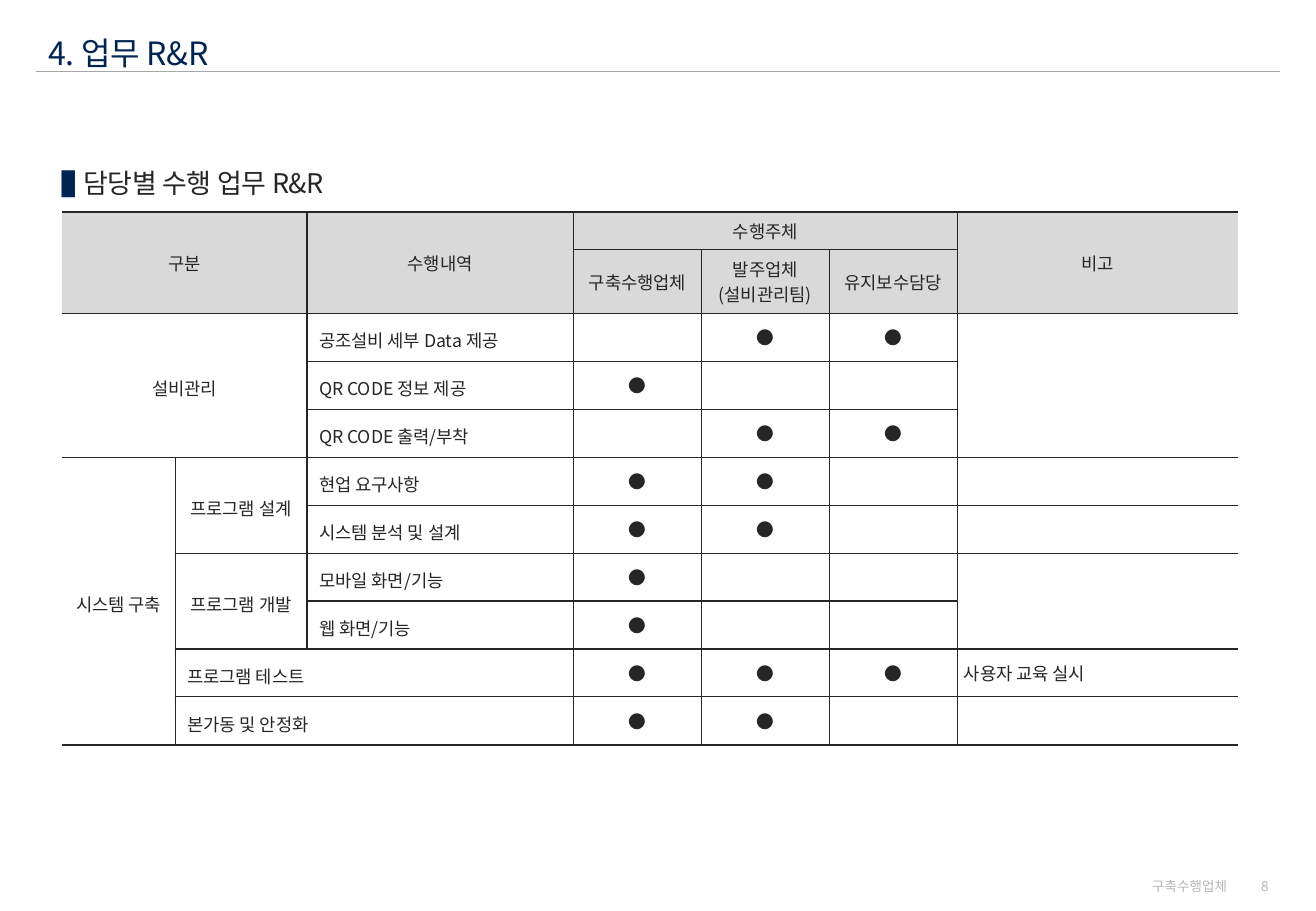
from pptx import Presentation
from pptx.dml.color import RGBColor
from pptx.enum import shapes, text
from pptx.oxml import xmlchemy
from pptx.util import Pt

# Content
TITLE = "4. 업무 R&R"
HEADING = "담당별 수행 업무 R&R"
COMPANY = "구축수행업체"
PAGE_NUMBER = "8"
DOT = "●"

# Cells: row, column, row span, column span, text
HEADER_CELLS = [
    (0, 0, 2, 2, "구분"),
    (0, 2, 2, 1, "수행내역"),
    (0, 3, 1, 3, "수행주체"),
    (0, 6, 2, 1, "비고"),
    (1, 3, 1, 1, COMPANY),
    (1, 4, 1, 1, "발주업체\n(설비관리팀)"),
    (1, 5, 1, 1, "유지보수담당"),
]
GROUP_CELLS = [
    (2, 0, 3, 2, "설비관리"),
    (5, 0, 6, 1, "시스템 구축"),
    (5, 1, 2, 1, "프로그램 설계"),
    (7, 1, 2, 1, "프로그램 개발"),
]
TASK_CELLS = [
    (2, 2, 1, 1, "공조설비 세부 Data 제공"),
    (3, 2, 1, 1, "QR CODE 정보 제공"),
    (4, 2, 1, 1, "QR CODE 출력/부착"),
    (5, 2, 1, 1, "현업 요구사항"),
    (6, 2, 1, 1, "시스템 분석 및 설계"),
    (7, 2, 1, 1, "모바일 화면/기능"),
    (8, 2, 1, 1, "웹 화면/기능"),
    (9, 1, 1, 2, "프로그램 테스트"),
    (10, 1, 1, 2, "본가동 및 안정화"),
]
REMARK_CELLS = [
    (2, 6, 3, 1, ""),
    (5, 6, 1, 1, ""),
    (6, 6, 1, 1, ""),
    (7, 6, 2, 1, ""),
    (9, 6, 1, 1, "사용자 교육 실시"),
    (10, 6, 1, 1, ""),
]
# Who does each task: one string a row, one character an actor column
DUTIES = ["011", "100", "011", "110", "110", "100", "100", "111", "110"]

# Style
FONT = "Noto Sans CJK KR"
NAVY = RGBColor(0x00, 0x24, 0x52)
INK = RGBColor(0x26, 0x26, 0x26)
RULE_GRAY = RGBColor(0xA6, 0xA6, 0xA6)
FOOTER_GRAY = RGBColor(0xB6, 0xB6, 0xB6)
HEADER_FILL = RGBColor(0xD9, 0xD9, 0xD9)
WHITE = RGBColor(0xFF, 0xFF, 0xFF)
TABLE_SIZE = 10.5
THIN, THICK = 0.75, 1.5
CENTER, LEFT, RIGHT = text.PP_ALIGN.CENTER, text.PP_ALIGN.LEFT, text.PP_ALIGN.RIGHT
MIDDLE, TOP = text.MSO_ANCHOR.MIDDLE, text.MSO_ANCHOR.TOP

# Table geometry
TABLE_LEFT, TABLE_TOP = 36.8, 125.8
COLUMN_WIDTHS = [67, 78.2, 158, 75.8, 75.8, 75.8, 166.6]
ROW_HEIGHTS = [22.3, 37.6] + [28.45] * len(DUTIES)
ROWS, COLUMNS = len(ROW_HEIGHTS), len(COLUMN_WIDTHS)


def add_element(parent, tag, **attributes):
    element = xmlchemy.OxmlElement(tag)
    for name, value in attributes.items():
        element.set(name, str(value))
    parent.append(element)
    return element


def add_run(paragraph, words, size, color, spacing=None):
    run = paragraph.add_run()
    run.text = words
    run.font.size, run.font.name = Pt(size), FONT
    run.font.color.rgb = color
    properties = run.font._element
    add_element(properties, "a:ea", typeface=FONT)
    if spacing is not None:
        properties.set("spc", str(round(spacing * 100)))


def add_text(slide, box, words, size, color, align=LEFT, anchor=MIDDLE,
             line_spacing=None, spacing=None, bullet=None):
    frame = slide.shapes.add_textbox(*map(Pt, box)).text_frame
    frame.word_wrap = True
    frame.vertical_anchor = anchor
    paragraph = frame.paragraphs[0]
    if bullet:
        properties = paragraph._p.get_or_add_pPr()
        properties.set("marL", str(Pt(20.9)))
        properties.set("indent", str(-Pt(20.9)))
        bullet_color = add_element(properties, "a:buClr")
        add_element(bullet_color, "a:srgbClr", val=NAVY)
        add_element(properties, "a:buFont", typeface=FONT)
        add_element(properties, "a:buChar", char=bullet)
    paragraph.alignment = align
    if line_spacing:
        paragraph.line_spacing = line_spacing
    add_run(paragraph, words, size, color, spacing)


def set_border(cell, index, width):
    """Index follows the order left, right, top, bottom; width 0 hides the side."""
    properties = cell._tc.get_or_add_tcPr()
    line = add_element(properties, "a:ln" + "LRTB"[index], w=Pt(width))
    if width:
        add_element(add_element(line, "a:solidFill"), "a:srgbClr", val=INK)
    else:
        add_element(line, "a:noFill")


def draw_borders(table, row, column, row_span, column_span):
    last_row, last_column = row + row_span, column + column_span
    outline = [
        THIN if column else 0,
        THIN if last_column < COLUMNS else 0,
        THIN if row else THICK,
        THIN if last_row < ROWS else THICK,
    ]
    for r in range(row, last_row):
        for c in range(column, last_column):
            is_origin = (r, c) == (row, column)
            touches = [c == column, c + 1 == last_column, r == row, r + 1 == last_row]
            for index, width in enumerate(outline):
                set_border(table.cell(r, c), index,
                           width if is_origin or touches[index] else 0)


def fill_cell(table, entry, align=CENTER, fill=WHITE, margin=0, line_spacing=None):
    row, column, row_span, column_span, words = entry
    draw_borders(table, row, column, row_span, column_span)
    cell = table.cell(row, column)
    if row_span * column_span > 1:
        cell.merge(table.cell(row + row_span - 1, column + column_span - 1))
    cell.fill.solid()
    cell.fill.fore_color.rgb = fill
    cell.vertical_anchor = MIDDLE
    cell.margin_left = cell.margin_right = Pt(margin)
    for index, line in enumerate(words.split("\n") if words else []):
        frame = cell.text_frame
        paragraph = frame.add_paragraph() if index else frame.paragraphs[0]
        paragraph.alignment = align
        if line_spacing:
            paragraph.line_spacing = line_spacing
        add_run(paragraph, line, TABLE_SIZE, INK)


def add_duty_table(slide):
    table = slide.shapes.add_table(
        ROWS, COLUMNS, Pt(TABLE_LEFT), Pt(TABLE_TOP),
        Pt(sum(COLUMN_WIDTHS)), Pt(sum(ROW_HEIGHTS))).table
    table.first_row = table.horz_banding = False
    for column, width in zip(table.columns, COLUMN_WIDTHS):
        column.width = Pt(width)
    for row, height in zip(table.rows, ROW_HEIGHTS):
        row.height = Pt(height)
    for cell in table.iter_cells():
        cell.margin_top = cell.margin_bottom = 0

    for entry in HEADER_CELLS:
        fill_cell(table, entry, fill=HEADER_FILL)
    for entry in GROUP_CELLS:
        fill_cell(table, entry, line_spacing=1.2)
    for entry in TASK_CELLS:
        fill_cell(table, entry, align=LEFT, margin=7.2, line_spacing=1.2)
    for entry in REMARK_CELLS:
        fill_cell(table, entry, align=LEFT, margin=4)
    for row, flags in enumerate(DUTIES, start=2):
        for column, flag in enumerate(flags, start=3):
            fill_cell(table, (row, column, 1, 1, DOT if flag == "1" else ""))

    # Empty cells keep the table's text size, so rows stay low
    for cell in table.iter_cells():
        if not cell.text_frame.text:
            add_element(cell.text_frame.paragraphs[0]._p, "a:endParaRPr",
                        sz=round(TABLE_SIZE * 100))


def main():
    presentation = Presentation()
    presentation.slide_width, presentation.slide_height = Pt(780), Pt(540)
    slide = presentation.slides.add_slide(presentation.slide_layouts[6])

    # Title and rule
    rule = slide.shapes.add_connector(
        shapes.MSO_CONNECTOR.STRAIGHT, Pt(21.6), Pt(42.5), Pt(758.4), Pt(42.5))
    rule.line.color.rgb, rule.line.width = RULE_GRAY, Pt(0.5)
    add_element(rule._element.spPr, "a:effectLst")
    add_text(slide, (21.6, 11.5, 486, 34.6), TITLE, 19, NAVY,
             line_spacing=1.2, spacing=-0.2)

    # Footer
    add_text(slide, (729.4, 519.8, 29.5, 11.5), PAGE_NUMBER, 8, FOOTER_GRAY, RIGHT)
    add_text(slide, (613.4, 519.8, 121, 11.5), COMPANY, 8, FOOTER_GRAY, RIGHT)

    # Heading and table
    add_text(slide, (21.6, 91.4, 737.3, 69), HEADING, 16, INK, anchor=TOP,
             line_spacing=1.2, spacing=-0.2, bullet="▐")
    add_duty_table(slide)
    presentation.save("out.pptx")


if __name__ == "__main__":
    main()
